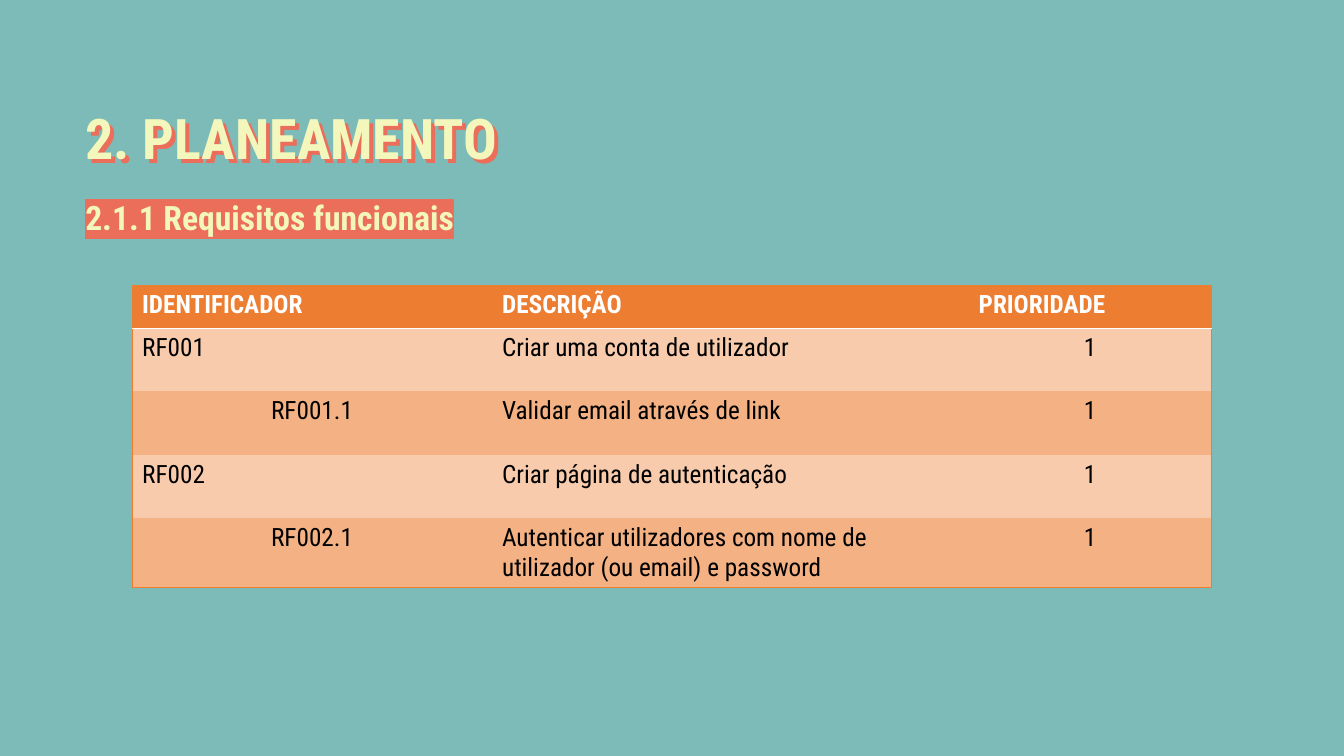
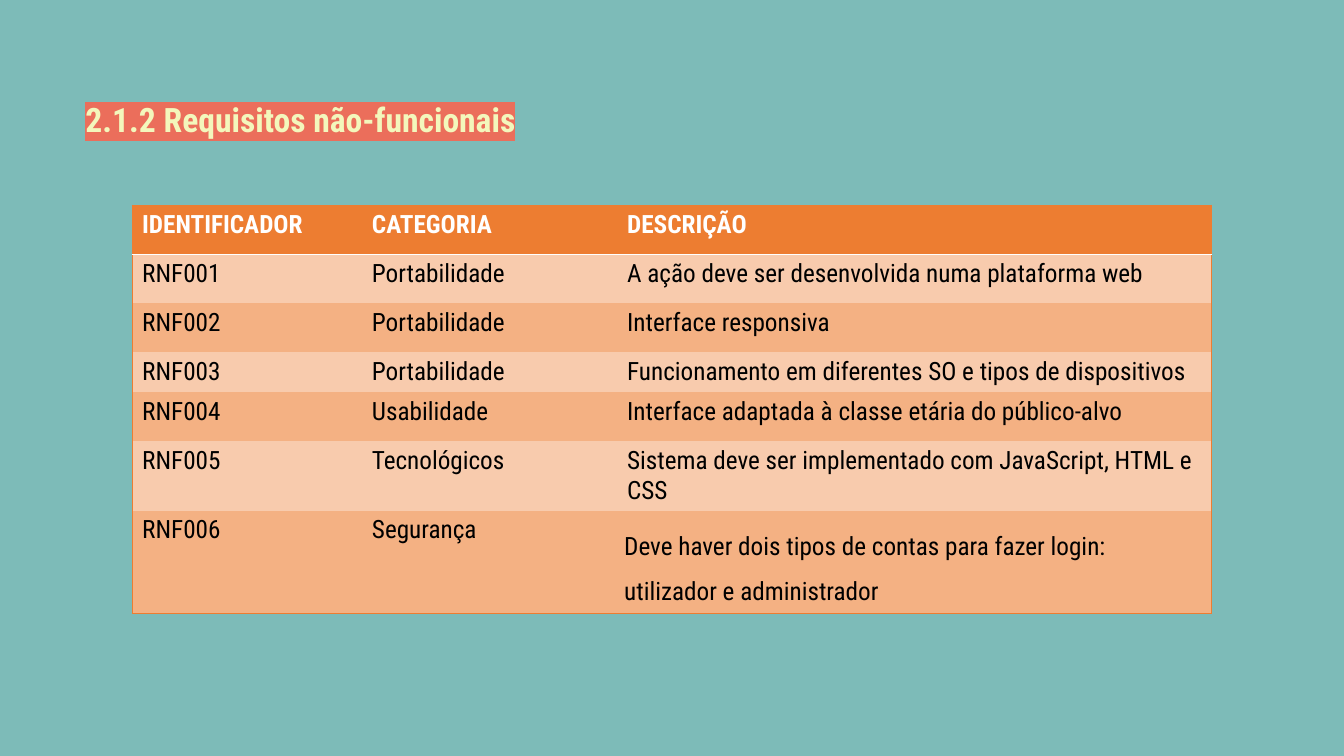
from pptx import Presentation
from pptx.dml.color import RGBColor
from pptx.enum.text import MSO_ANCHOR, MSO_AUTO_SIZE, PP_ALIGN
from pptx.oxml import parse_xml
from pptx.oxml.ns import nsdecls, qn
from pptx.util import Cm, Pt

FONT = "Roboto Condensed"
TEAL, CREAM, CORAL = "7DBBB8", "F3F7BC", "EB6E5B"
ORANGE, PEACH, APRICOT = "ED7D31", "F8CBAD", "F4B183"
WHITE, BLACK = "FFFFFF", "000000"
PLAIN = "{2D5ABB26-0587-4C30-8999-92F81FD0307C}"  # table style without fill or grid
LEFT = 1.9  # left edge of all headings, cm

# Content: lengths in cm; "mid" holds centred (row, column) cells
SLIDES = [
    {
        "title": "2. PLANEAMENTO",
        "head": "2.1.1 Requisitos funcionais",
        "head_top": 4.95,
        "top": 7.19,
        "cols": [9.07, 12.01, 6.12],
        "rows": [1.07, 1.6, 1.6, 1.6, 1.57],
        "cells": [
            ("IDENTIFICADOR", "DESCRIÇÃO", "PRIORIDADE"),
            ("RF001", "Criar uma conta de utilizador", "1"),
            ("RF001.1", "Validar email através de link", "1"),
            ("RF002", "Criar página de autenticação", "1"),
            ("RF002.1", "Autenticar utilizadores com nome de utilizador (ou email) e password", "1"),
        ],
        "mid": {(1, 2), (2, 0), (2, 2), (3, 2), (4, 0), (4, 2)},
        "loose": None,
    },
    {
        "title": None,
        "head": "2.1.2 Requisitos não-funcionais",
        "head_top": 2.49,
        "top": 5.16,
        "cols": [5.79, 6.43, 14.98],
        "rows": [1.24, 1.24, 1.24, 1, 1.24, 1.17, 2.49],
        "cells": [
            ("IDENTIFICADOR", "CATEGORIA", "DESCRIÇÃO"),
            ("RNF001", "Portabilidade", "A ação deve ser desenvolvida numa plataforma web"),
            ("RNF002", "Portabilidade", "Interface responsiva"),
            ("RNF003", "Portabilidade", "Funcionamento em diferentes SO e tipos de dispositivos"),
            ("RNF004", "Usabilidade", "Interface adaptada à classe etária do público-alvo"),
            ("RNF005", "Tecnológicos", "Sistema deve ser implementado com JavaScript, HTML e CSS"),
            ("RNF006", "Segurança", "Deve haver dois tipos de contas para fazer login: utilizador e administrador"),
        ],
        "mid": set(),
        "loose": (6, 2),
    },
]


def rgb(code):
    return RGBColor.from_string(code)


def style(para, size, color, bold):
    for run in para.runs:
        font = run.font
        font.size, font.bold, font.name = Pt(size), bold, FONT
        font.color.rgb = rgb(color)


def place(shape, text, top, width, height, size, anchor):
    """Position a heading, fill in its text and return the paragraph."""
    shape.left, shape.top = Cm(LEFT), Cm(top)
    shape.width, shape.height = Cm(width), Cm(height)
    frame = shape.text_frame
    frame.text = text
    frame.word_wrap = True
    frame.auto_size = MSO_AUTO_SIZE.NONE
    frame.vertical_anchor = anchor
    para = frame.paragraphs[0]
    para.alignment = PP_ALIGN.LEFT
    para.line_spacing = 0.9
    style(para, size, CREAM, True)
    return para


def add_title(shape, text):
    place(shape, text, 1.78, 23.93, 3.58, 40, MSO_ANCHOR.MIDDLE)
    # Hard coral shadow behind the letters
    shape.element.spPr.append(parse_xml(
        f'<a:effectLst {nsdecls("a")}><a:outerShdw blurRad="0" dist="50800" dir="2700000" '
        f'algn="tl" rotWithShape="0"><a:srgbClr val="{CORAL}"/></a:outerShdw></a:effectLst>'))


def add_head(shape, text, top):
    para = place(shape, text, top, 30.05, 3.07, 24, MSO_ANCHOR.TOP)
    para.space_before = Pt(10)
    # Coral highlight follows the font colour in the run
    fill = para.runs[0].font._element.find(qn("a:solidFill"))
    fill.addnext(parse_xml(
        f'<a:highlight {nsdecls("a")}><a:srgbClr val="{CORAL}"/></a:highlight>'))


def edge(cell, side, color):
    cell._tc.get_or_add_tcPr().append(parse_xml(
        f'<a:ln{side} {nsdecls("a")} w="3175"><a:solidFill><a:srgbClr val="{color}"/>'
        f'</a:solidFill></a:ln{side}>'))


def add_grid(slide, data):
    cols, rows = data["cols"], data["rows"]
    table = slide.shapes.add_table(
        len(rows), len(cols), Cm(3.33), Cm(data["top"]), Cm(sum(cols)), Cm(sum(rows))).table
    table._tbl.tblPr.find(qn("a:tableStyleId")).text = PLAIN
    table.horz_banding = False
    for col, width in zip(table.columns, cols):
        col.width = Cm(width)
    for row, height in zip(table.rows, rows):
        row.height = Cm(height)

    for i, line in enumerate(data["cells"]):
        for j, text in enumerate(line):
            cell = table.cell(i, j)
            # Outer frame, and a white rule under the header
            sides = [
                ("L", j == 0, ORANGE),
                ("R", j == len(cols) - 1, ORANGE),
                ("T", i == 0, ORANGE),
                ("B", i in (0, len(rows) - 1), WHITE if i == 0 else ORANGE),
            ]
            for side, shown, color in sides:
                if shown:
                    edge(cell, side, color)
            cell.fill.solid()
            cell.fill.fore_color.rgb = rgb(ORANGE if i == 0 else PEACH if i % 2 else APRICOT)
            # Text
            cell.text_frame.text = text
            para = cell.text_frame.paragraphs[0]
            style(para, 18, BLACK if i else WHITE, i == 0)
            if (i, j) in data["mid"]:
                para.alignment = PP_ALIGN.CENTER
            if (i, j) == data["loose"]:
                para.line_spacing, para.space_after = 1.5, Pt(10)
                cell.margin_left = cell.margin_top = cell.margin_bottom = Cm(0.18)


def main():
    prs = Presentation()
    prs.slide_width, prs.slide_height = Cm(33.87), Cm(19.05)
    back = prs.slide_master.background.fill
    back.solid()
    back.fore_color.rgb = rgb(TEAL)

    for data in SLIDES:
        slide = prs.slides.add_slide(prs.slide_layouts[5])
        head = slide.shapes.title
        if data["title"]:
            add_title(head, data["title"])
            head = slide.shapes.add_textbox(0, 0, 0, 0)
        add_head(head, data["head"], data["head_top"])
        add_grid(slide, data)
    prs.save("out.pptx")


if __name__ == "__main__":
    main()
